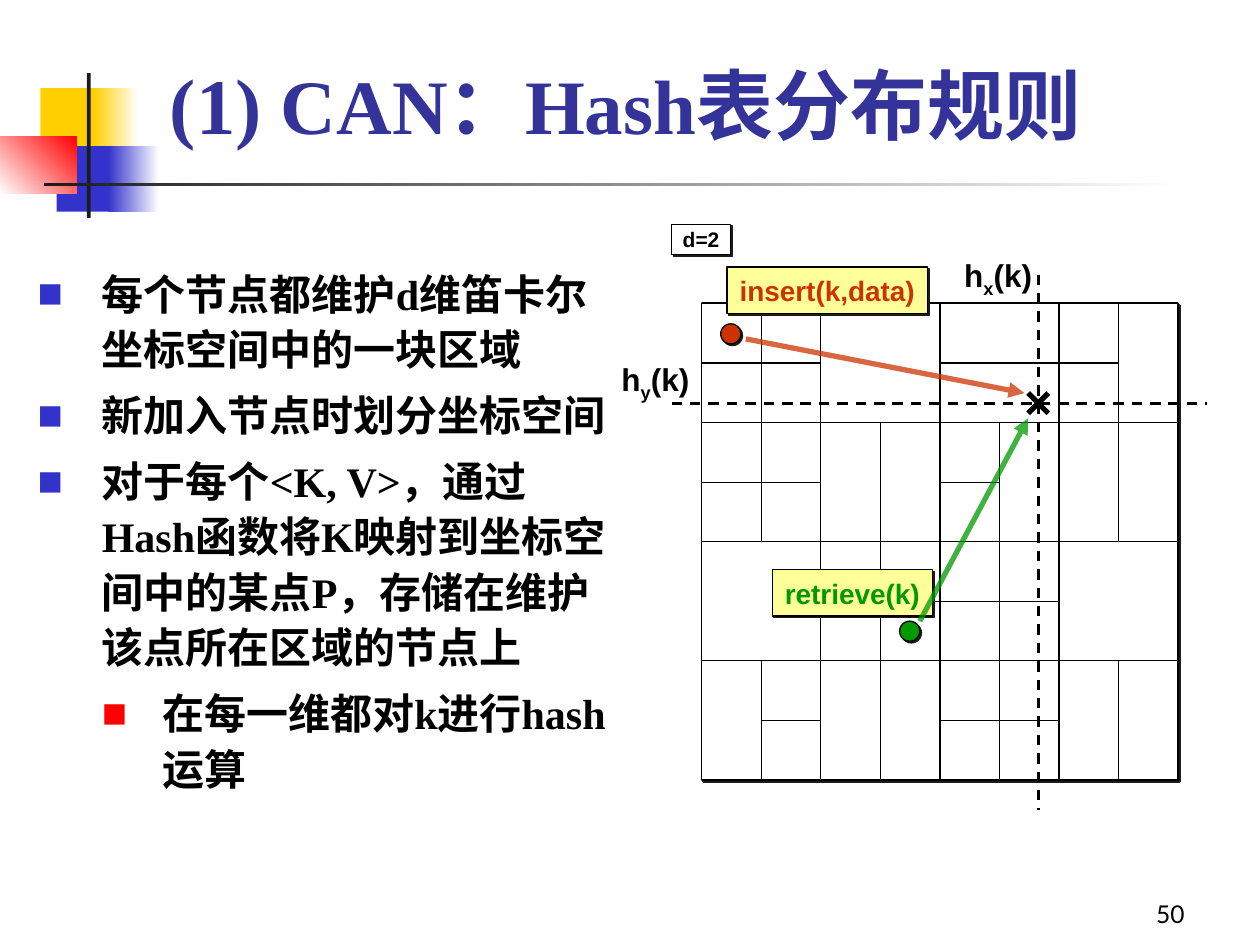
from dataclasses import dataclass
from typing import Any, Optional

import lxml.etree
import pptx
import pptx.dml.color
import pptx.enum.dml
import pptx.enum.shapes
import pptx.enum.text
import pptx.oxml.ns
import pptx.util

Inches = pptx.util.Inches
Pt = pptx.util.Pt
qn = pptx.oxml.ns.qn
Shape = pptx.enum.shapes.MSO_SHAPE
Align = pptx.enum.text.PP_ALIGN
Anchor = pptx.enum.text.MSO_ANCHOR

COLORS = {
    "white": "FFFFFF", "black": "000000", "ink": "1C1C1C", "gold": "FFCF01",
    "blue": "3333CC", "red": "FF0000", "title": "333399", "note": "FFFF99",
    "insert": "CC3300", "retrieve": "009900",
}


@dataclass
class Block:
    left: float
    top: float
    width: float
    height: float
    fill: str
    fade_to: Optional[str] = None
    angle: float = 0
    line: Optional[str] = None
    line_width: float = 0.75
    shadow: bool = False
    kind: Any = Shape.RECTANGLE


@dataclass
class Stroke:
    start: tuple[float, float]
    end: tuple[float, float]
    color: str = "black"
    width: float = 3
    dashed: bool = False
    arrow: bool = False


@dataclass
class Span:
    text: str
    size: float
    color: str = "black"
    font: str = "Arial"
    bold: bool = True
    baseline: int = 0


@dataclass
class Bullet:
    text: str
    level: int = 0
    color: str = "blue"
    margin: float = 0.51
    hanging: float = 0.51


DECORATION = [
    Block(0.32, 0.7, 0.48, 0.52, "gold"),
    Block(0.74, 0.7, 0.36, 0.52, "gold", "white"),
    Block(0.45, 1.16, 0.46, 0.52, "blue"),
    Block(0.86, 1.16, 0.4, 0.52, "blue", "white"),
    Block(0, 1.08, 0.61, 0.46, "white", "red", 45),
    Block(0.69, 0.58, 0.03, 1.15, "ink"),
    Block(0.35, 1.45, 9, 0.03, "ink", "white"),
]
BULLETS = [
    Bullet("每个节点都维护d维笛卡尔坐标空间中的一块区域"),
    Bullet("新加入节点时划分坐标空间"),
    Bullet("对于每个<K, V>，通过Hash函数将K映射到坐标空间中的某点P，存储在维护该点所在区域的节点上"),
    Bullet("在每一维都对k进行hash运算", 1, "red", 0.99, 0.48),
]
GRID_LEFT, GRID_TOP, GRID_SIZE = 5.57, 2.41, 3.78
UNIT = GRID_SIZE / 8
ZONE_MAP = [
    "abccddef",
    "ghccijkf",
    "lmnopqrs",
    "tunovqrs",
    "wwABCDEE",
    "wwFGHIEE",
    "JKLMNOPQ",
    "JRLMSTPQ",
]
ZONE_MAP[1] = "ghcciikf"


def rgb(name: str) -> pptx.dml.color.RGBColor:
    return pptx.dml.color.RGBColor.from_string(COLORS[name])


def add_block(page: Any, block: Block) -> Any:
    shape = page.shapes.add_shape(
        block.kind, Inches(block.left), Inches(block.top), Inches(block.width), Inches(block.height))
    shape.shadow.inherit = False
    if block.fade_to:
        shape.fill.gradient()
        shape.fill.gradient_angle = block.angle
        for stop, name in zip(shape.fill.gradient_stops, (block.fill, block.fade_to)):
            stop.color.rgb = rgb(name)
    else:
        shape.fill.solid()
        shape.fill.fore_color.rgb = rgb(block.fill)
    if block.line:
        shape.line.color.rgb = rgb(block.line)
        shape.line.width = Pt(block.line_width)
    else:
        shape.line.fill.background()
    if block.shadow:
        effects = shape._element.spPr.find(qn("a:effectLst"))
        cast = lxml.etree.SubElement(
            effects, qn("a:outerShdw"), dist=str(int(Pt(1.4))), dir="2700000", algn="ctr", rotWithShape="0")
        lxml.etree.SubElement(cast, qn("a:srgbClr"), val=COLORS["ink"])
    return shape


def add_stroke(page: Any, stroke: Stroke) -> None:
    ends = [Inches(value) for value in (*stroke.start, *stroke.end)]
    connector = page.shapes.add_connector(pptx.enum.shapes.MSO_CONNECTOR.STRAIGHT, *ends)
    connector.line.color.rgb = rgb(stroke.color)
    connector.line.width = Pt(stroke.width)
    if stroke.dashed:
        connector.line.dash_style = pptx.enum.dml.MSO_LINE.DASH
    if stroke.arrow:
        outline = connector.line._get_or_add_ln()
        color = outline.find(".//" + qn("a:srgbClr"))
        lxml.etree.SubElement(color, qn("a:alpha"), val="75000")
        lxml.etree.SubElement(outline, qn("a:tailEnd"), type="triangle")
    lxml.etree.SubElement(connector._element.spPr, qn("a:effectLst"))


def format_run(run: Any, span: Span) -> None:
    run.font.name = span.font
    run.font.size = Pt(span.size)
    run.font.bold = span.bold
    run.font.color.rgb = rgb(span.color)
    if span.baseline:
        run._r.get_or_add_rPr().set("baseline", str(span.baseline))


def write_spans(shape: Any, spans: list[Span], align: Any, anchor: Any, wrap: bool = False) -> None:
    frame = shape.text_frame
    frame.word_wrap = wrap
    frame.vertical_anchor = anchor
    para = frame.paragraphs[0]
    para.alignment = align
    for span in spans:
        run = para.add_run()
        run.text = span.text
        format_run(run, span)


def add_text(page: Any, left: float, top: float, width: float, height: float) -> Any:
    return page.shapes.add_textbox(Inches(left), Inches(top), Inches(width), Inches(height))


def add_bullets(page: Any) -> None:
    frame = add_text(page, 0.2, 2.04, 4.8, 4.31).text_frame
    frame.word_wrap = True
    frame.text = "\n".join(bullet.text for bullet in BULLETS)
    for index, (para, bullet) in enumerate(zip(frame.paragraphs, BULLETS)):
        para.level = bullet.level
        para.line_spacing = 1.1
        para.space_before = Pt(6 if index else 0)
        properties = para._p.get_or_add_pPr()
        properties.set("marL", str(int(Inches(bullet.margin))))
        properties.set("indent", str(-int(Inches(bullet.hanging))))
        tint = lxml.etree.SubElement(properties, qn("a:buClr"))
        lxml.etree.SubElement(tint, qn("a:srgbClr"), val=COLORS[bullet.color])
        lxml.etree.SubElement(properties, qn("a:buFont"), typeface="Arial")
        lxml.etree.SubElement(properties, qn("a:buChar"), char="■")
        format_run(para.runs[0], Span(bullet.text, 24, font="Times New Roman"))


def add_zones(page: Any) -> None:
    add_block(page, Block(GRID_LEFT, GRID_TOP, GRID_SIZE, GRID_SIZE, "white",
                          line="black", line_width=1.5, shadow=True))
    for zone in sorted(set("".join(ZONE_MAP))):
        cells = [(column, row) for row, zones in enumerate(ZONE_MAP)
                 for column, name in enumerate(zones) if name == zone]
        (column, row), (last_column, last_row) = cells[0], cells[-1]
        add_block(page, Block(GRID_LEFT + column * UNIT, GRID_TOP + row * UNIT,
                              (last_column - column + 1) * UNIT, (last_row - row + 1) * UNIT,
                              "white", line="black"))


def add_axis_label(page: Any, left: float, top: float, axis: str) -> None:
    spans = [Span("h", 18), Span(axis, 18, baseline=-25000), Span("(k)", 18)]
    write_spans(add_text(page, left, top, 0.74, 0.44), spans, Align.RIGHT, Anchor.TOP)


def add_note(page: Any, block: Block, span: Span) -> None:
    write_spans(add_block(page, block), [span], Align.CENTER, Anchor.MIDDLE)


def add_dot(page: Any, left: float, top: float, color: str) -> None:
    add_block(page, Block(left, top, 0.16, 0.16, color, line="black", shadow=True, kind=Shape.OVAL))


def main() -> None:
    deck = pptx.Presentation()
    deck.slide_width, deck.slide_height = Inches(10), Inches(7.5)
    page = deck.slides.add_slide(deck.slide_layouts[6])
    for block in DECORATION:
        add_block(page, block)
    write_spans(add_text(page, 7.42, 6.92, 2.08, 0.5),
                [Span("50", 14, font="Lato", bold=False)], Align.RIGHT, Anchor.BOTTOM, True)
    title = [Span("(1)", 45, "title", "Times New Roman"),
             Span(" CAN：Hash表分布规则", 44, "title", "Times New Roman")]
    write_spans(add_text(page, 1.25, 0.39, 8.52, 0.85), title, Align.LEFT, Anchor.BOTTOM, True)
    add_bullets(page)
    add_zones(page)
    add_note(page, Block(5.33, 1.78, 0.47, 0.24, "white", line="black", shadow=True), Span("d=2", 12))
    add_stroke(page, Stroke((5.92, 2.69), (8.13, 3.12), "insert", arrow=True))
    add_stroke(page, Stroke((8.24, 2.18), (8.24, 6.43), width=1.5, dashed=True))
    add_stroke(page, Stroke((5.33, 3.2), (9.58, 3.2), width=1.5, dashed=True))
    add_stroke(page, Stroke((8.16, 3.12), (8.32, 3.28)))
    add_stroke(page, Stroke((8.16, 3.28), (8.32, 3.12)))
    add_axis_label(page, 7.55, 1.98, "x")
    add_axis_label(page, 4.83, 2.81, "y")
    add_note(page, Block(5.77, 2.12, 1.59, 0.37, "note", line="black", shadow=True),
             Span("insert(k,data)", 16, "insert"))
    add_dot(page, 5.72, 2.57, "insert")
    add_dot(page, 7.14, 4.93, "retrieve")
    add_note(page, Block(6.13, 4.52, 1.27, 0.37, "note", line="black", shadow=True),
             Span("retrieve(k)", 16, "retrieve"))
    add_stroke(page, Stroke((7.3, 4.93), (8.16, 3.32), "retrieve", arrow=True))
    deck.save("out.pptx")


if __name__ == "__main__":
    main()
